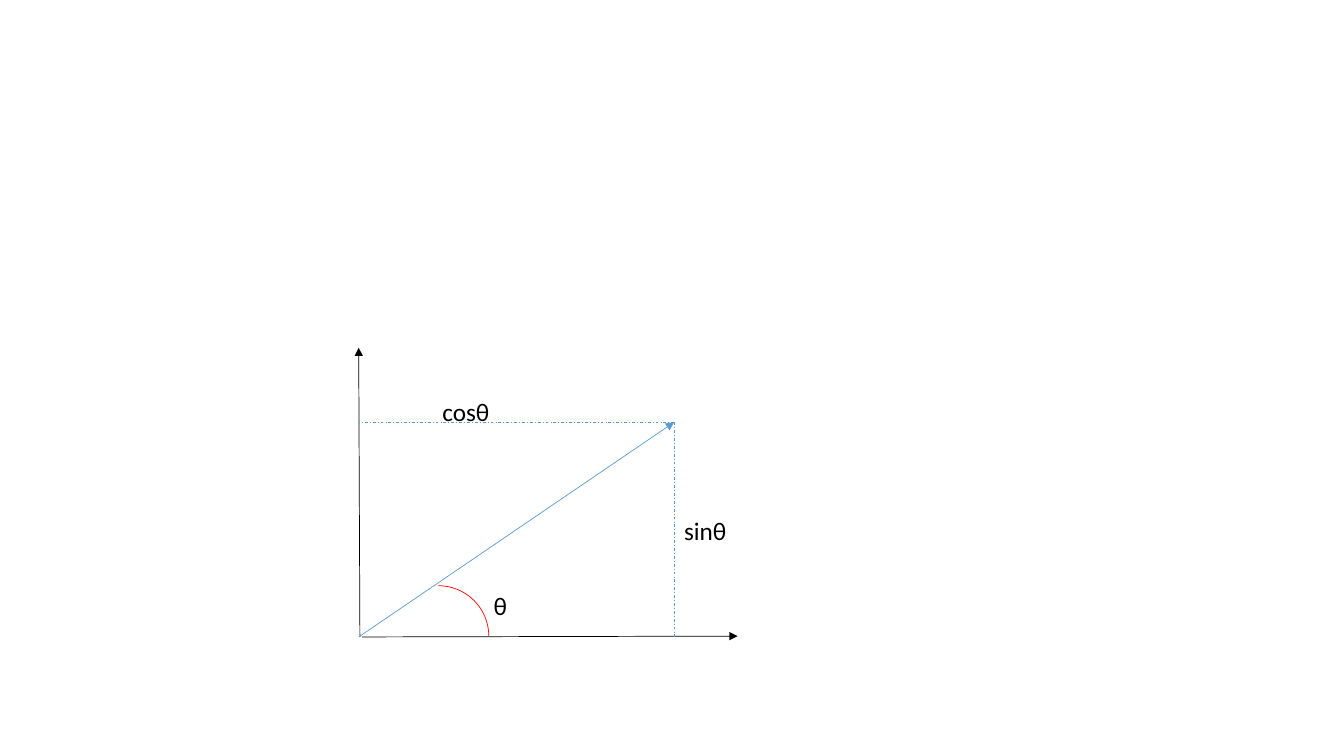
from lxml import etree
from pptx import Presentation
from pptx.dml.color import RGBColor
from pptx.enum.dml import MSO_LINE
from pptx.enum.shapes import MSO_CONNECTOR, MSO_SHAPE
from pptx.enum.text import MSO_AUTO_SIZE
from pptx.oxml.ns import qn
from pptx.util import Cm, Pt

STRAIGHT = MSO_CONNECTOR.STRAIGHT
ARC = MSO_SHAPE.ARC
DASH_DOT = MSO_LINE.DASH_DOT
FIT_SHAPE = MSO_AUTO_SIZE.SHAPE_TO_FIT_TEXT

BLACK = RGBColor(0x00, 0x00, 0x00)
BLUE = RGBColor(0x5B, 0x9B, 0xD5)
RED = RGBColor(0xFF, 0x00, 0x00)

FONT = "Calibri"
LINE_WIDTH = Pt(0.5)
ORIGIN = (9.04, 16.05)
VECTOR_TIP = (16.99, 10.64)


def add_segment(slide, start, end, color):
    """Draw a thin straight line between two points in centimetres."""
    segment = slide.shapes.add_connector(
        STRAIGHT, Cm(start[0]), Cm(start[1]), Cm(end[0]), Cm(end[1])
    )
    segment.line.color.rgb = color
    segment.line.width = LINE_WIDTH
    etree.SubElement(segment._element.spPr, qn("a:effectLst"))
    return segment


def add_arrow(slide, start, end, color):
    """Draw a line with a triangular head at its end."""
    arrow = add_segment(slide, start, end, color)
    etree.SubElement(arrow.line._get_or_add_ln(), qn("a:tailEnd"), type="triangle")


def add_projection(slide, start, end):
    """Draw a dash-dotted projection line."""
    add_segment(slide, start, end, BLUE).line.dash_style = DASH_DOT


def add_angle(slide, left, top, diameter):
    """Draw the quarter arc that marks the angle."""
    angle = slide.shapes.add_shape(ARC, Cm(left), Cm(top), Cm(diameter), Cm(diameter))
    angle.shadow.inherit = False
    angle.fill.background()
    angle.line.color.rgb = RED
    angle.line.width = LINE_WIDTH


def add_label(slide, text, left, top, width):
    """Write a one-line label."""
    label = slide.shapes.add_textbox(Cm(left), Cm(top), Cm(width), Cm(1.02))
    frame = label.text_frame
    frame.word_wrap = False
    frame.auto_size = FIT_SHAPE
    frame.text = text
    font = frame.paragraphs[0].runs[0].font
    font.name = FONT
    font.size = Pt(18)
    font.color.rgb = BLACK


def main():
    """Build the vector decomposition slide."""
    deck = Presentation()
    deck.slide_width = Cm(33.87)
    deck.slide_height = Cm(19.05)
    slide = deck.slides.add_slide(deck.slide_layouts[6])

    origin_x, origin_y = ORIGIN
    tip_x, tip_y = VECTOR_TIP
    add_arrow(slide, (9.07, origin_y), (origin_x, 8.76), BLACK)
    add_arrow(slide, (9.12, origin_y), (18.59, 16.03), BLACK)
    add_arrow(slide, ORIGIN, VECTOR_TIP, BLUE)
    add_angle(slide, 9.78, 14.76, 2.54)
    add_label(slide, "θ", 12.19, 14.76, 0.86)
    add_projection(slide, VECTOR_TIP, (tip_x, origin_y))
    add_projection(slide, VECTOR_TIP, (origin_x, tip_y))
    add_label(slide, "cosθ", 10.9, 9.86, 1.7)
    add_label(slide, "sinθ", tip_x, 12.85, 1.6)

    deck.save("out.pptx")


if __name__ == "__main__":
    main()
